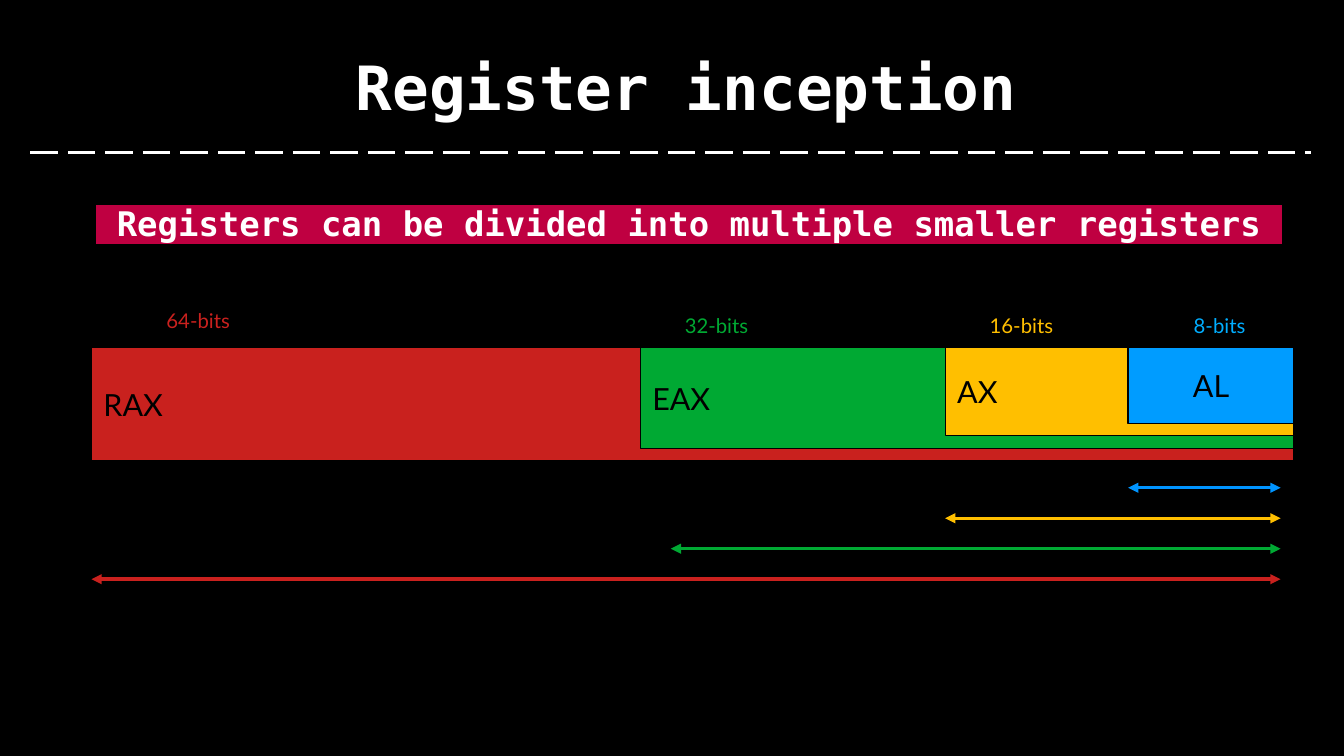
from lxml.etree import SubElement
from pptx import Presentation
from pptx.dml.color import RGBColor
from pptx.enum.dml import MSO_LINE
from pptx.enum.shapes import MSO_CONNECTOR, MSO_SHAPE
from pptx.enum.text import MSO_ANCHOR, PP_ALIGN
from pptx.oxml.ns import qn
from pptx.util import Pt

BLACK = RGBColor(0x00, 0x00, 0x00)
WHITE = RGBColor(0xFF, 0xFF, 0xFF)
RED = RGBColor(0xC9, 0x21, 0x1E)
GREEN = RGBColor(0x00, 0xA9, 0x33)
GOLD = RGBColor(0xFF, 0xBF, 0x00)
BLUE = RGBColor(0x00, 0x9C, 0xFF)
SKY = RGBColor(0x00, 0xAE, 0xFF)
AZURE = RGBColor(0x00, 0x94, 0xFF)
PINK = RGBColor(0xBF, 0x00, 0x41)
MONO = "DejaVu Sans Mono"
SANS = "Lato"


class Deck:
    """Draws styled elements on the current slide."""

    def __init__(self, slide):
        self.slide = slide
        self.shapes = slide.shapes
        fill = slide.background.fill
        fill.solid()
        fill.fore_color.rgb = BLACK

    def style(self, frame, text, size, color, face, align, bold=False):
        frame.word_wrap = True
        frame.text = text
        para = frame.paragraphs[0]
        para.alignment = align
        font = para.runs[0].font
        font.size, font.bold, font.name = Pt(size), bold, face
        font.color.rgb = color
        return para.runs[0]

    def label(self, text, left, top, width, height, size, color,
              face=SANS, bold=False, anchor=MSO_ANCHOR.TOP):
        box = self.shapes.add_textbox(Pt(left), Pt(top), Pt(width), Pt(height))
        frame = box.text_frame
        frame.margin_left = frame.margin_right = 0
        frame.margin_top = frame.margin_bottom = 0
        frame.vertical_anchor = anchor
        return self.style(frame, text, size, color, face, PP_ALIGN.CENTER, bold)

    def mark(self, run, color):
        props = run._r.get_or_add_rPr()
        light = SubElement(props, qn("a:highlight"))
        SubElement(light, qn("a:srgbClr"), val=str(color))
        props.find(qn("a:solidFill")).addnext(light)

    def block(self, text, left, top, width, height, color, align):
        rect = self.shapes.add_shape(
            MSO_SHAPE.RECTANGLE, Pt(left), Pt(top), Pt(width), Pt(height))
        rect.shadow.inherit = False
        rect.fill.solid()
        rect.fill.fore_color.rgb = color
        rect.line.color.rgb = BLACK
        rect.line.width = Pt(0)
        rect.text_frame.vertical_anchor = MSO_ANCHOR.MIDDLE
        self.style(rect.text_frame, text, 18, BLACK, SANS, align)

    def line(self, left, right, top, color):
        rule = self.shapes.add_connector(
            MSO_CONNECTOR.STRAIGHT, Pt(left), Pt(top), Pt(right), Pt(top))
        rule.line.color.rgb = color
        rule.line.width = Pt(0)
        SubElement(rule._element.spPr, qn("a:effectLst"))
        return rule

    def arrow(self, left, right, top, color):
        rule = self.line(left, right, top, color)
        stroke = rule._element.spPr.find(qn("a:ln"))
        for end in ("a:headEnd", "a:tailEnd"):
            SubElement(stroke, qn(end), type="triangle")


def main():
    show = Presentation()
    show.slide_width, show.slide_height = Pt(793.44), Pt(446.4)
    deck = Deck(show.slides.add_slide(show.slide_layouts[6]))

    deck.label("Register inception", 108, 11.5, 594, 78.5, 36, WHITE,
               MONO, True, MSO_ANCHOR.MIDDLE)
    deck.line(18, 774, 90, WHITE).line.dash_style = MSO_LINE.LONG_DASH
    banner = deck.label(
        " Registers can be divided into multiple smaller registers ",
        39.6, 119.5, 734.4, 106, 20, WHITE, MONO, True)
    deck.mark(banner, PINK)

    left, mid = PP_ALIGN.LEFT, PP_ALIGN.CENTER
    blocks = [("RAX", 54, RED, left), ("EAX", 378, GREEN, left),
              ("AX", 558, GOLD, left), ("AL", 666, BLUE, mid)]
    for i, (name, start, color, align) in enumerate(blocks):
        deck.block(name, start, 205.2, 764 - start, 67 - 7.4 * i, color, align)

    sizes = [("64-bits", 54, 182.2, 126, RED), ("32-bits", 360, 185, 126, GREEN),
             ("16-bits", 558, 185, 90, GOLD), ("8-bits", 648, 185, 144, SKY)]
    for text, start, top, width, color in sizes:
        deck.label(text, start, top, width, 18, 12, color)

    spans = [(54, RED), (396, GREEN), (558, GOLD), (666, AZURE)]
    for i, (start, color) in enumerate(spans):
        deck.arrow(start, 756, 342 - 18 * i, color)

    show.save("out.pptx")


if __name__ == "__main__":
    main()
